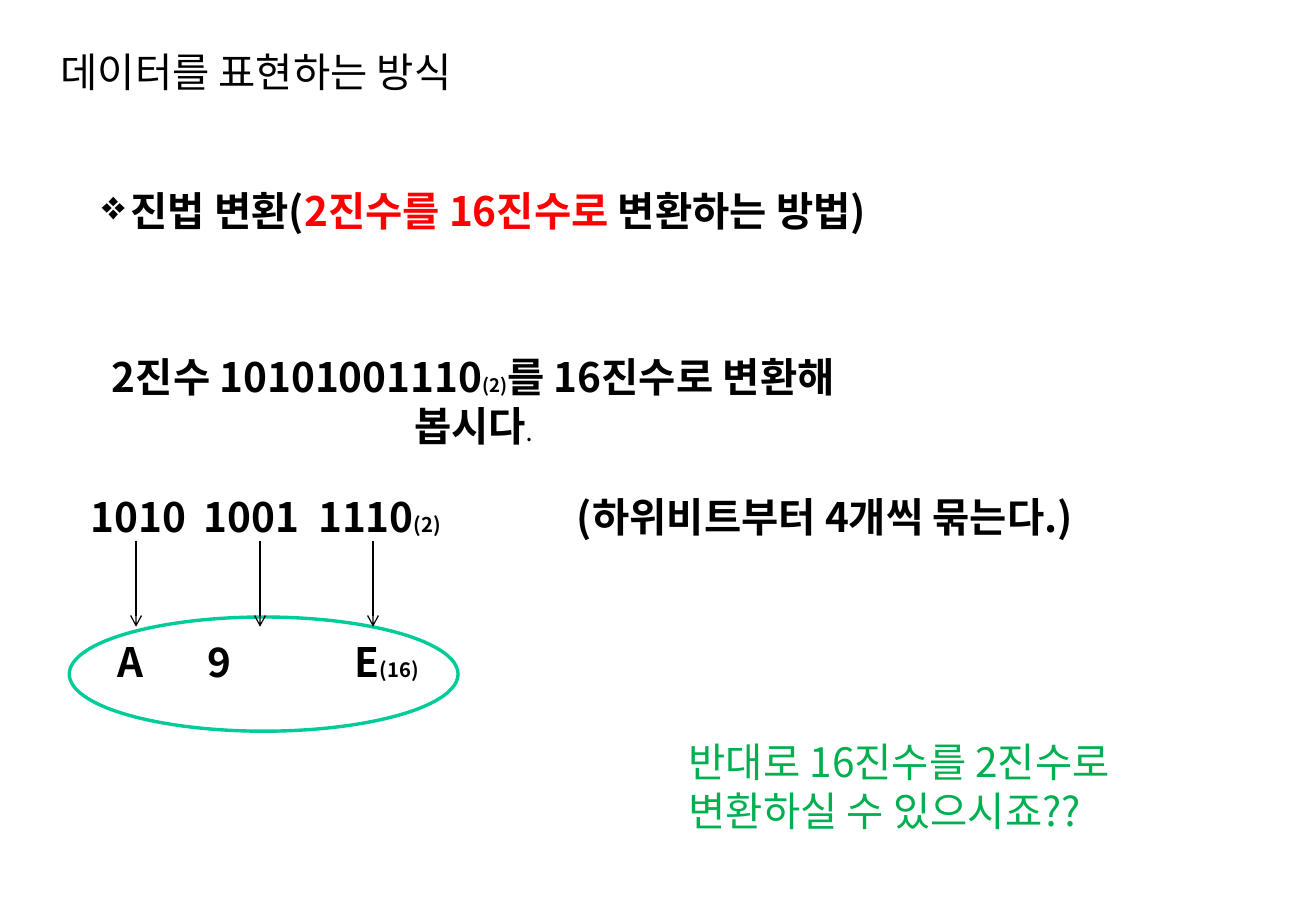
from dataclasses import dataclass

from lxml.etree import SubElement
from pptx import Presentation
from pptx.dml.color import RGBColor
from pptx.enum.shapes import MSO_CONNECTOR, MSO_SHAPE
from pptx.enum.text import MSO_ANCHOR, PP_ALIGN
from pptx.oxml.ns import qn
from pptx.slide import Slide
from pptx.util import Inches, Pt


@dataclass(frozen=True)
class Theme:
    font: str = "Noto Sans CJK KR"
    black: str = "000000"
    white: str = "FFFFFF"
    red: str = "FF0000"
    green: str = "00B050"
    teal: str = "00CC99"
    body: int = 24
    base_mark: int = 12
    small_mark: int = 11


THEME = Theme()


@dataclass(frozen=True)
class Span:
    text: str
    color: str = THEME.black
    size: int = THEME.body
    bold: bool = True


@dataclass(frozen=True)
class Line:
    spans: tuple[Span, ...]
    align: PP_ALIGN = PP_ALIGN.LEFT
    bullet: str = ""
    tabs: tuple[float, ...] = ()
    space_before: float = 0


@dataclass(frozen=True)
class TextBlock:
    left: float
    top: float
    width: float
    height: float
    lines: tuple[Line, ...]
    wrap: bool = True
    anchor: MSO_ANCHOR = MSO_ANCHOR.TOP
    right_inset: float = 0.1


TEXT_BLOCKS = (
    TextBlock(0.4, 0.32, 6.26, 0.54,
              (Line((Span("데이터를 표현하는 방식", bold=False),)),),
              anchor=MSO_ANCHOR.MIDDLE),
    TextBlock(0.49, 1.48, 7.03, 0.5,
              (Line((Span("진법 변환("),
                     Span("2진수를 16진수로", THEME.red),
                     Span(" 변환하는 방법)")), PP_ALIGN.CENTER, "❖"),),
              wrap=False),
    TextBlock(5.57, 6.02, 4.83, 0.5,
              (Line((Span("반대로 16진수를 2진수로 변환하실 수 있으시죠??",
                          THEME.green, bold=False),)),)),
    TextBlock(0.62, 2.85, 7.5, 0.5,
              (Line((Span("2진수 10101001110"),
                     Span("(2)", size=THEME.small_mark),
                     Span("를 16진수로 변환해 봅시다"),
                     Span(".", size=THEME.small_mark)), PP_ALIGN.CENTER),),
              right_inset=1.05),
    TextBlock(0.65, 4, 9.14, 1.72,
              (Line((Span("1010\t1001\t1110"),
                     Span("(2)", size=THEME.base_mark),
                     Span("\t(하위비트부터 4개씩 묶는다.)")),
                    tabs=(0.93, 1.87, 4)),
               Line((Span("\tA\t9\tE"),
                     Span("(16)", size=THEME.base_mark)),
                    tabs=(0.22, 0.96, 2.17), space_before=57))),
)

ARROW_CENTERS = (1.12, 2.14, 3.07)
ARROW_TOP, ARROW_BOTTOM = 4.45, 5.16


def rgb(color: str) -> RGBColor:
    return RGBColor.from_string(color)


def add_text(slide: Slide, block: TextBlock) -> None:
    shape = slide.shapes.add_textbox(Inches(block.left), Inches(block.top),
                                     Inches(block.width), Inches(block.height))
    text_frame = shape.text_frame
    text_frame.word_wrap = block.wrap
    text_frame.vertical_anchor = block.anchor
    text_frame.margin_right = Inches(block.right_inset)
    for index, line in enumerate(block.lines):
        paragraph = text_frame.add_paragraph() if index else text_frame.paragraphs[0]
        paragraph.alignment = line.align
        if line.space_before:
            paragraph.space_before = Pt(line.space_before)
        properties = paragraph._p.get_or_add_pPr()
        if line.bullet:
            SubElement(properties, qn("a:buChar"), char=line.bullet)
        if line.tabs:
            tab_list = SubElement(properties, qn("a:tabLst"))
            for stop in line.tabs:
                SubElement(tab_list, qn("a:tab"), pos=str(Inches(stop)), algn="l")
        for span in line.spans:
            run = paragraph.add_run()
            run.text = span.text
            run.font.name = THEME.font
            run.font.size = Pt(span.size)
            run.font.bold = span.bold
            run.font.color.rgb = rgb(span.color)
            SubElement(run.font._element, qn("a:ea"), typeface=THEME.font)


def add_result_ellipse(slide: Slide) -> None:
    ellipse = slide.shapes.add_shape(MSO_SHAPE.OVAL, Inches(0.57), Inches(5.08),
                                     Inches(3.2), Inches(0.94))
    ellipse.shadow.inherit = False
    ellipse.fill.solid()
    ellipse.fill.fore_color.rgb = rgb(THEME.white)
    ellipse.line.color.rgb = rgb(THEME.teal)
    ellipse.line.width = Pt(2)


def add_down_arrow(slide: Slide, center: float) -> None:
    arrow = slide.shapes.add_connector(MSO_CONNECTOR.STRAIGHT,
                                       Inches(center), Inches(ARROW_TOP),
                                       Inches(center), Inches(ARROW_BOTTOM))
    arrow.line.color.rgb = rgb(THEME.black)
    arrow.line.width = Pt(0.75)
    SubElement(arrow.line._get_or_add_ln(), qn("a:tailEnd"), type="arrow")
    SubElement(arrow._element.spPr, qn("a:effectLst"))


def main() -> None:
    presentation = Presentation()
    presentation.slide_width = Inches(10.83)
    presentation.slide_height = Inches(7.5)
    slide = presentation.slides.add_slide(presentation.slide_layouts[6])
    add_result_ellipse(slide)
    for block in TEXT_BLOCKS:
        add_text(slide, block)
    for center in ARROW_CENTERS:
        add_down_arrow(slide, center)
    presentation.save("out.pptx")


if __name__ == "__main__":
    main()
